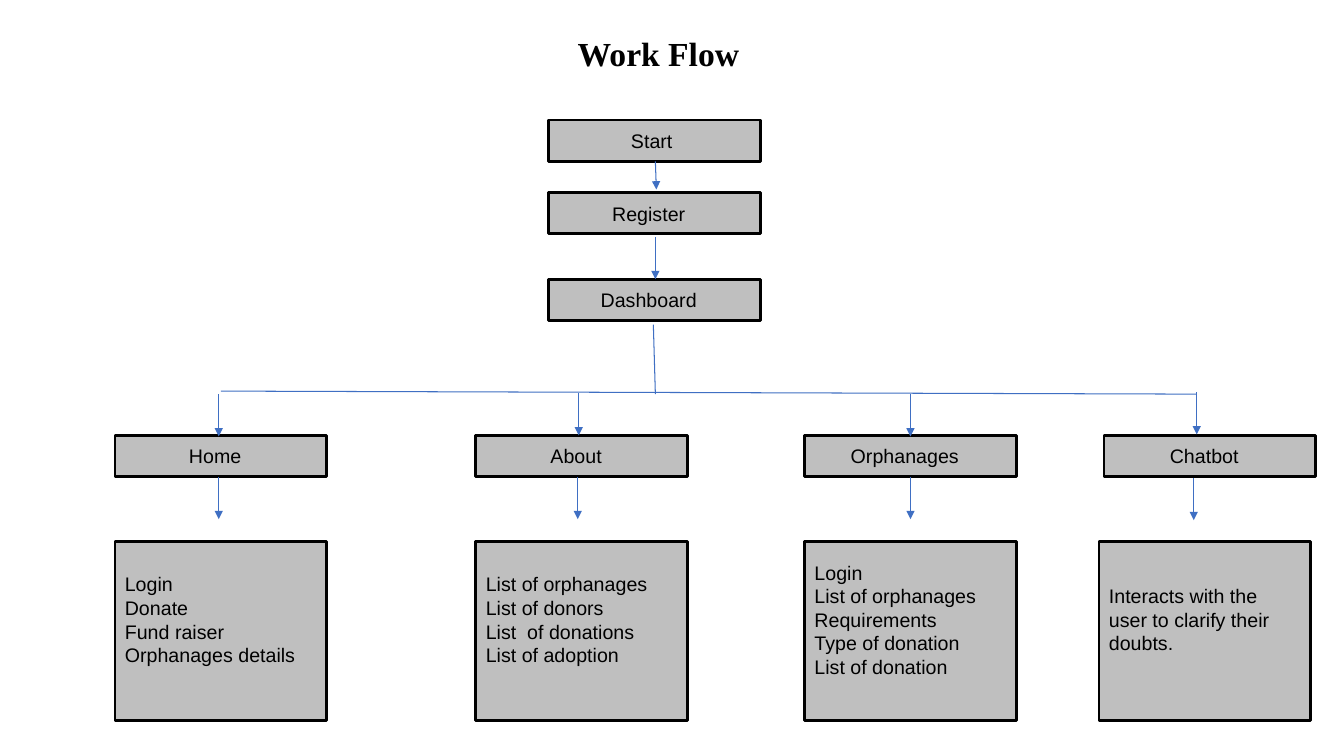
from pptx import Presentation
from pptx.dml.color import RGBColor
from pptx.enum.shapes import MSO_CONNECTOR, MSO_SHAPE
from pptx.enum.text import MSO_ANCHOR, MSO_AUTO_SIZE, PP_ALIGN
from pptx.oxml.ns import qn
from pptx.util import Pt
from lxml import etree

PX = 9144  # 100 px to the inch
BLACK = RGBColor(0x00, 0x00, 0x00)
GRAY = RGBColor(0xBF, 0xBF, 0xBF)
BLUE = RGBColor(0x3F, 0x6F, 0xC3)
RECTANGLE = MSO_SHAPE.RECTANGLE
STRAIGHT = MSO_CONNECTOR.STRAIGHT
LEFT, CENTER = PP_ALIGN.LEFT, PP_ALIGN.CENTER
TOP, MIDDLE = MSO_ANCHOR.TOP, MSO_ANCHOR.MIDDLE

BOX_WIDTH, LABEL_HEIGHT, DETAIL_HEIGHT = 210, 41, 178
LABEL_TOP, DETAIL_TOP = 432, 537

deck = Presentation()
deck.slide_width, deck.slide_height = 1333 * PX, 750 * PX
page = deck.slides.add_slide(deck.slide_layouts[5])


def add_box(left, top, height, text, align, right_inset=10, bottom_inset=5):
    box = page.shapes.add_shape(RECTANGLE, left * PX, top * PX, BOX_WIDTH * PX, height * PX)
    box.shadow.inherit = False
    box.fill.solid()
    box.fill.fore_color.rgb = GRAY
    box.line.color.rgb = BLACK
    box.line.width = Pt(2)
    frame = box.text_frame
    frame.word_wrap = True
    frame.vertical_anchor = MIDDLE
    frame.margin_right = right_inset * PX
    frame.margin_bottom = bottom_inset * PX
    frame.text = text
    for para in frame.paragraphs:
        para.alignment = align
        para.font.name = "Arial"
        para.font.size = Pt(14)
        para.font.color.rgb = BLACK


def add_line(start_x, start_y, end_x, end_y, arrow=True):
    line = page.shapes.add_connector(STRAIGHT, start_x * PX, start_y * PX, end_x * PX, end_y * PX)
    line.line.color.rgb = BLUE
    line.line.width = Pt(0.75)
    if arrow:
        outline = line.line._get_or_add_ln()
        etree.SubElement(outline, qn("a:tailEnd"), type="triangle")
    etree.SubElement(line._element.spPr, qn("a:effectLst"))


# Title
title = page.shapes.title
title.left, title.top, title.width, title.height = 555 * PX, 28 * PX, 200 * PX, 50 * PX
frame = title.text_frame
frame.text = "Work Flow"
frame.auto_size = MSO_AUTO_SIZE.NONE
frame.vertical_anchor = TOP
frame.margin_left = 18 * PX
heading = frame.paragraphs[0]
heading.alignment = LEFT
span = heading.runs[0]
span.font.name = "Times New Roman"
span.font.size = Pt(24)
span.font.bold = True
span.font.color.rgb = BLACK

# Steps from start to dashboard
for text, top, right_inset in [("Start", 119, 15), ("Register", 191, 21), ("Dashboard", 277, 21)]:
    add_box(544, top, LABEL_HEIGHT, text, CENTER, right_inset)

# Sections: label, label left, detail left, detail lines
sections = [
    ("Home", 114, 114, ["Login", "Donate", "Fund raiser", "Orphanages details"]),
    ("About", 472, 472,
     ["List of orphanages", "List of donors", "List  of donations", "List of adoption"]),
    ("Orphanages", 798, 798,
     ["Login", "List of orphanages", "Requirements", "Type of donation", "List of donation"]),
    ("Chatbot", 1095, 1090, ["Interacts with the user to clarify their doubts."]),
]
for text, label_left, detail_left, details in sections:
    add_box(label_left, LABEL_TOP, LABEL_HEIGHT, text, CENTER, 21)
    add_box(detail_left, DETAIL_TOP, DETAIL_HEIGHT, "\n".join(details), LEFT, bottom_inset=28)

# Arrows between the steps, then the trunk and the crossbar
add_line(650, 160, 651, 188)
add_line(650, 235, 650, 277)
add_line(648, 322, 650, 391, arrow=False)
add_line(219, 388, 1187, 391, arrow=False)

# Arrows into each label and down to its details: x, top, x, top
for label_x, label_y, detail_x, detail_y in [
    (217, 391, 217, 473), (574, 390, 573, 473), (903, 391, 903, 473), (1187, 389, 1184, 474),
]:
    add_line(label_x, label_y, label_x, label_y + 42)
    add_line(detail_x, detail_y, detail_x, detail_y + 42)

deck.save("out.pptx")
